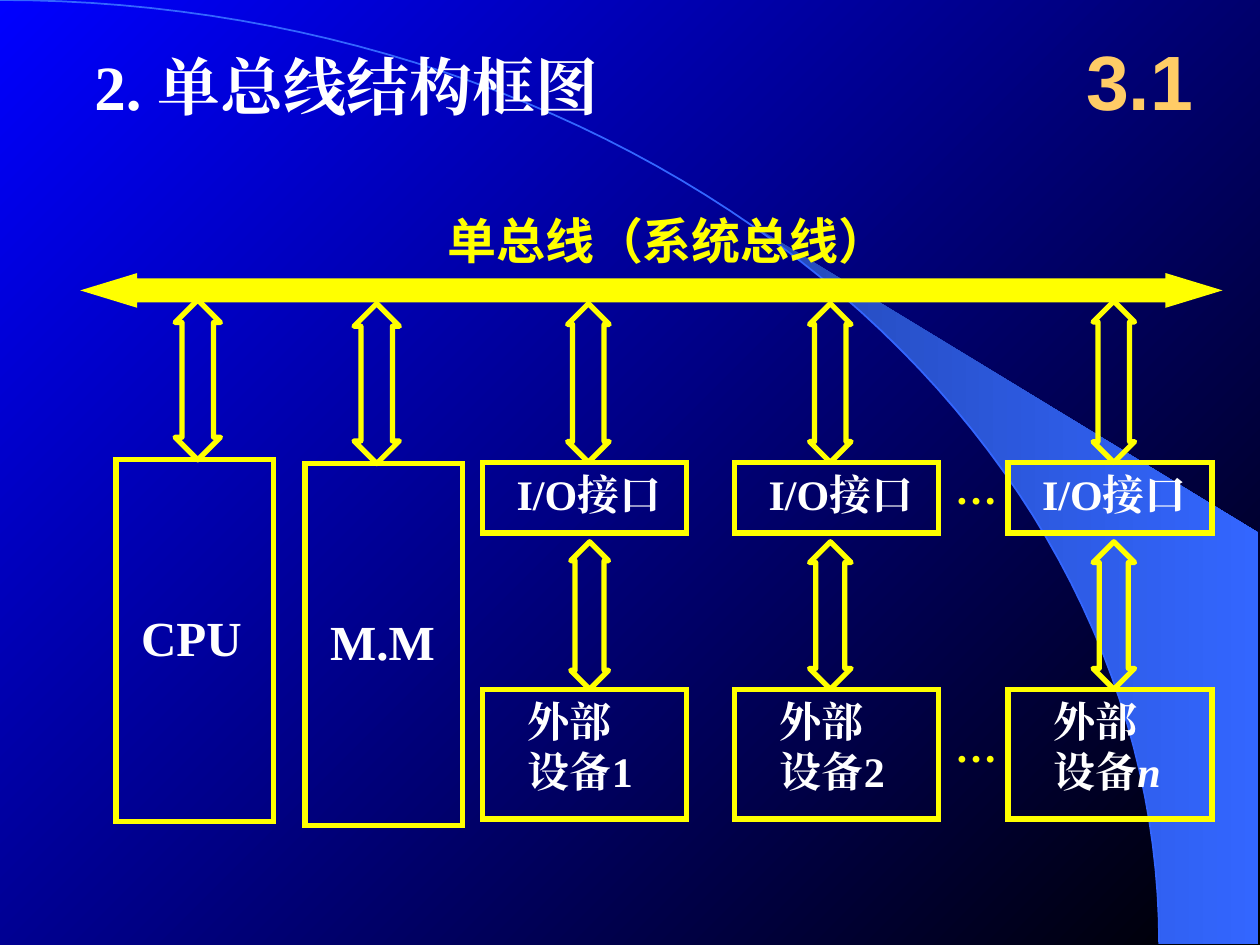
from math import asin, cos, pi, sin

from lxml.etree import SubElement
from pptx import Presentation
from pptx.dml.color import RGBColor as RGB
from pptx.enum.shapes import MSO_SHAPE as Kind
from pptx.enum.text import MSO_ANCHOR as Anchor, PP_ALIGN as Align
from pptx.oxml.ns import qn
from pptx.util import Inches, Pt

COLORS = {
    "blue": "0000FF", "black": "000000", "dim": "2449B6", "sky": "3366FF",
    "line": "FFFF00", "text": "FFFFFF", "gold": "FFCC66",
}
SERIF, SANS, HAN = "Times New Roman", "Arial", "Noto Sans CJK SC"
RX, RY = 9.2, 7.49  # radii of the background arc


def color(name):
    return RGB.from_string(COLORS[name])


def shade(fill, first, last, angle):
    fill.gradient()
    fill.gradient_angle = angle
    for stop, name, pos in zip(fill.gradient_stops, (first, last), (0, 1)):
        stop.color.rgb = color(name)
        stop.position = pos


def write(shape, lines, size=24, font=SERIF, hue="text", inset=(0, 0, 0, 0),
          wrap=True, align=Align.LEFT, anchor=Anchor.TOP):
    """Fill a shape with lines; each line is a list of (text, italic) runs."""
    frame = shape.text_frame
    frame.word_wrap = wrap
    frame.vertical_anchor = anchor
    (frame.margin_left, frame.margin_top,
     frame.margin_right, frame.margin_bottom) = map(Inches, inset)
    for i, line in enumerate(lines):
        para = frame.add_paragraph() if i else frame.paragraphs[0]
        para.alignment = align
        for text, italic in line:
            run = para.add_run()
            run.text = text
            run.font.name = font
            run.font.size = Pt(size)
            run.font.bold = True
            run.font.italic = italic
            run.font.color.rgb = color(hue)
            SubElement(run.font._element, qn("a:ea"), typeface=font)


def label(slide, box, text, **look):
    shape = slide.shapes.add_textbox(*map(Inches, box))
    write(shape, [[(text, False)]], **look)


def shape_of(slide, kind, box, width=3, join="miter"):
    """Add an unfilled preset shape with a yellow outline."""
    shape = slide.shapes.add_shape(kind, *map(Inches, box))
    shape.shadow.inherit = False
    shape.fill.background()
    shape.line.color.rgb = color("line")
    shape.line.width = Pt(width)
    SubElement(shape.line._get_or_add_ln(), qn("a:" + join))
    return shape


def block(slide, box, lines, **look):
    write(shape_of(slide, Kind.RECTANGLE, box), lines, **look)


def arrow(slide, mid, top, end, width=0.33, head=0.25):
    shape = shape_of(slide, Kind.UP_DOWN_ARROW,
                     (mid - width / 2, top, width, end - top), join="round")
    shape.adjustments[0] = 0.5
    shape.adjustments[1] = head / width


def arc(start, steps=60):
    turns = [start + (pi / 2 - start) * i / steps for i in range(steps + 1)]
    return [(RX * sin(t), RY * (1 - cos(t))) for t in turns]


def outline(slide, points, close):
    spots = [(Inches(x), Inches(y)) for x, y in points]
    pen = slide.shapes.build_freeform(*spots[0])
    pen.add_line_segments(spots[1:], close=close)
    shape = pen.convert_to_shape()
    shape.shadow.inherit = False
    return shape


def backdrop(slide):
    shade(slide.background.fill, "blue", "black", 315)
    beam = outline(slide, arc(asin(5.89 / RX)) + [(9.99, 7.49), (9.99, 4.23)], True)
    shade(beam.fill, "dim", "sky", 0)
    beam.line.fill.background()
    rim = outline(slide, arc(0), False)
    rim.fill.background()
    rim.line.color.rgb = color("sky")
    rim.line.width = Pt(1)


def bus(slide):
    label(slide, (3.55, 1.67, 3.52, 0.47), "单总线（系统总线）",
          size=28, font=HAN, hue="line", wrap=False)
    bar = shape_of(slide, Kind.LEFT_RIGHT_ARROW, (0.67, 2.18, 9, 0.25), 1.38)
    bar.fill.solid()
    bar.fill.fore_color.rgb = color("line")
    bar.adjustments[0] = 0.68
    bar.adjustments[1] = 1.64


def main():
    deck = Presentation()
    deck.slide_width, deck.slide_height = Inches(10), Inches(7.5)
    slide = deck.slides.add_slide(deck.slide_layouts[6])
    backdrop(slide)

    # Headings
    label(slide, (0.65, 0.33, 4.2, 1.3), "2. 单总线结构框图",
          size=36, inset=(0.1, 0.05, 0.1, 0.05))
    label(slide, (8.42, 0.17, 1.25, 0.92), "3.1", size=44, font=SANS,
          hue="gold", inset=(0.1, 0.05, 0.1, 0.05),
          align=Align.CENTER, anchor=Anchor.MIDDLE)
    bus(slide)

    # Processor and memory
    for name, left, top, mid in (("CPU", 0.92, 3.65, 1.57),
                                 ("M.M", 2.42, 3.68, 2.99)):
        block(slide, (left, top, 1.25, 2.87), [[(name, False)]],
              size=28, inset=(0.2, 1.17, 0, 0))
        arrow(slide, mid, top - 1.27, top, width=0.36)

    # Interfaces and their devices
    for name, left, high, low, start, slim in (
            ("1", 3.83, 4.67, 4.68, 2.41, 0.3),
            ("2", 5.83, 6.59, 6.59, 2.41, 0.33),
            ("n", 8, 8.84, 8.84, 2.39, 0.33)):
        block(slide, (left, 3.67, 1.62, 0.56), [[("I/O接口", False)]],
              inset=(0.27, 0.05, 0, 0))
        block(slide, (left, 5.47, 1.62, 1.03),
              [[("外部", False)], [("设备", False), (name, name == "n")]],
              inset=(0.36, 0.05, 0, 0))
        arrow(slide, high, start, 3.67)
        arrow(slide, low, 4.3, 5.47, width=slim, head=0.23)

    for top in (3.67, 5.72):
        label(slide, (7.58, top, 0.42, 0.4), "…", hue="line")

    deck.save("out.pptx")


main()
